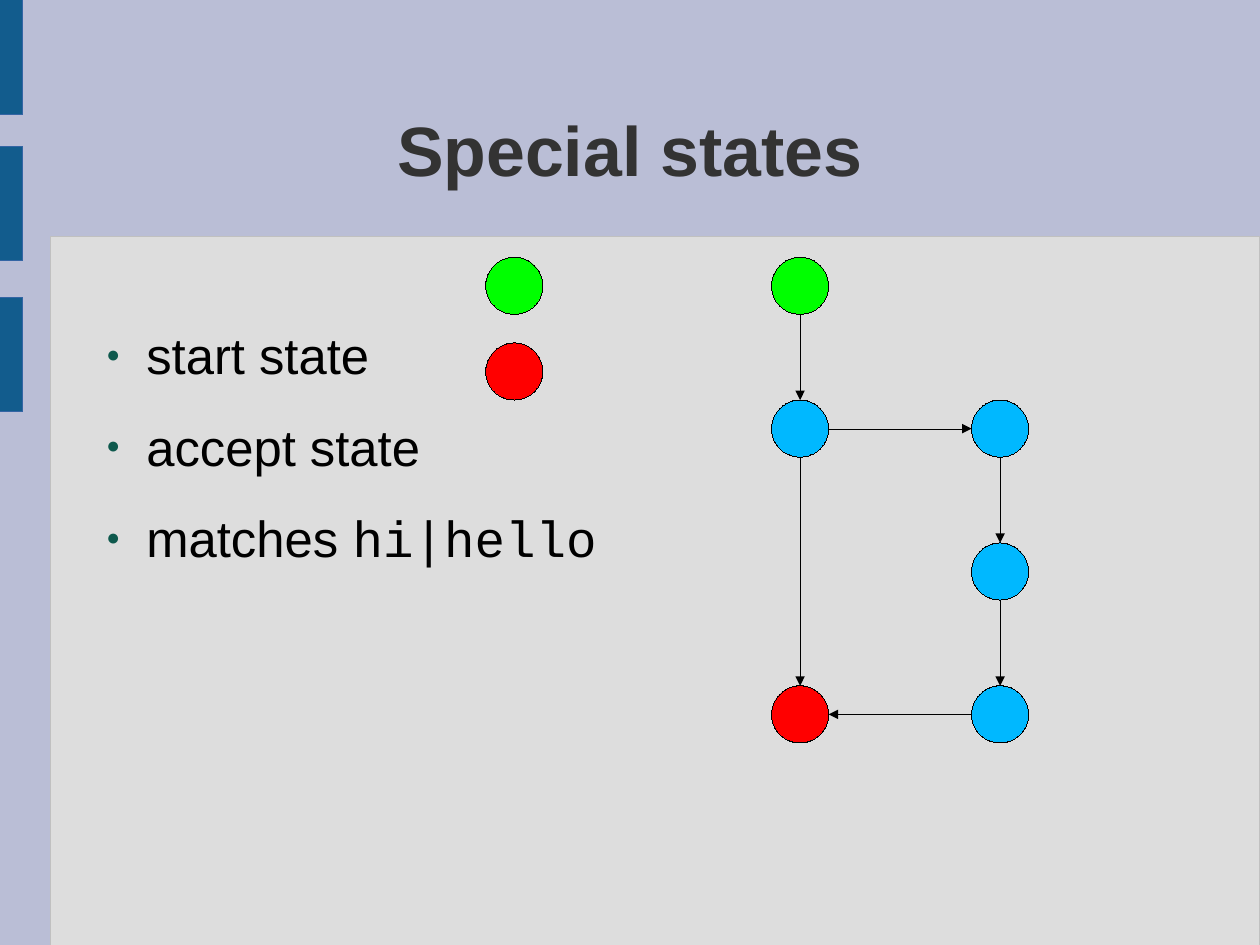
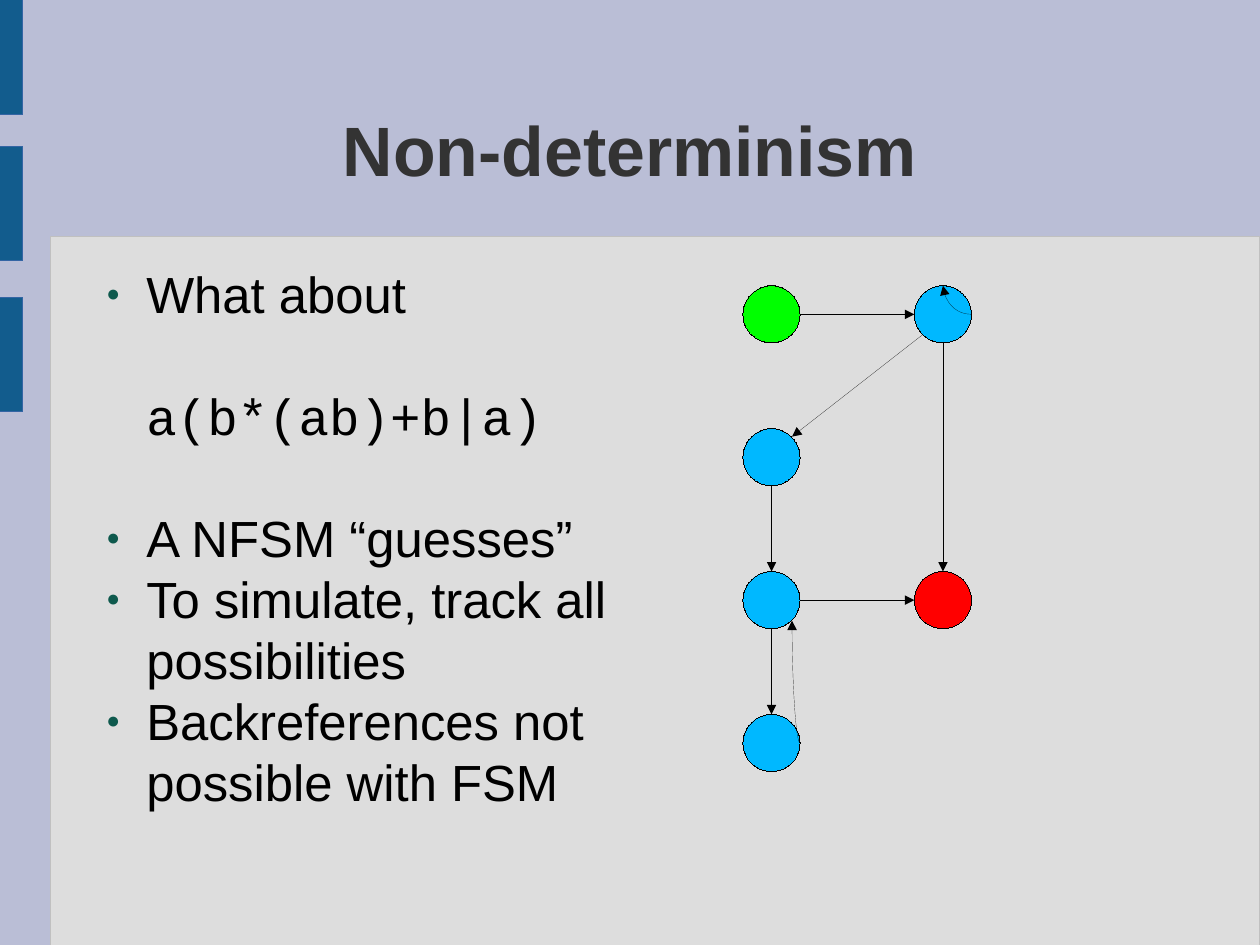
"""Build two slides on finite state machines: special states and non-determinism."""
from lxml.etree import SubElement
from pptx import Presentation
from pptx.dml.color import RGBColor
from pptx.enum.shapes import MSO_CONNECTOR, MSO_SHAPE
from pptx.enum.text import MSO_ANCHOR, PP_ALIGN
from pptx.oxml.ns import qn
from pptx.util import Cm, Pt

PX = 9144
COLOURS = {
    "background": "BABED6", "panel": "DDDDDD", "panel edge": "C0C0C0",
    "bar": "125C8D", "bar edge": "3465A4", "title": "333333",
    "bullet": "0E594D", "ink": "000000",
    "start": "00FF00", "state": "00B8FF", "accept": "FF0000",
}
RADIUS = 25
DIAGONAL = 18
LINE_PITCH = 38.4
INDENT, HANGING = 47, 35
BODY, CODE = "Arial", "Courier New"

SLIDES = [
    {
        "title": "Special states",
        "points": [
            (True, 2, 0, [("start state", BODY)]),
            (True, 1.5, 0, [("accept state", BODY)]),
            (True, 1.5, 0, [("matches ", BODY), ("hi|hello", CODE)]),
        ],
        "states": {
            "start": (700, 250, "start"),
            "h": (700, 375, "state"),
            "he": (875, 375, "state"),
            "hel": (875, 500, "state"),
            "hell": (875, 625, "state"),
            "accept": (700, 625, "accept"),
            "start key": (450, 250, "start"),
            "accept key": (450, 325, "accept"),
        },
        "moves": [("start", "h"), ("h", "accept"), ("h", "he"),
                  ("he", "hel"), ("hel", "hell"), ("hell", "accept")],
        "loops": [],
    },
    {
        "title": "Non-determinism",
        "points": [
            (True, 1, 0, [("What about", BODY)]),
            (False, 1, 1, [("a(b*(ab)+b|a)", CODE)]),
            (True, 1, 1, [("A NFSM “guesses”", BODY)]),
            (True, 1, 0, [("To simulate, track all possibilities", BODY)]),
            (True, 1, 0, [("Backreferences not possible with FSM", BODY)]),
        ],
        "states": {
            "start": (675, 275, "start"),
            "repeat b": (825, 275, "state"),
            "a": (675, 400, "state"),
            "ab": (675, 525, "state"),
            "repeat ab": (675, 650, "state"),
            "accept": (825, 525, "accept"),
        },
        "moves": [("start", "repeat b"), ("repeat b", "a"), ("a", "ab"),
                  ("ab", "repeat ab"), ("ab", "accept"), ("repeat b", "accept")],
        "loops": [(850, 275, 825, 250), (700, 650, 693, 543)],
    },
]


def add_filled(slide, preset, box, fill, edge):
    part = slide.shapes.add_shape(preset, *(n * PX for n in box))
    part.shadow.inherit = False
    part.fill.solid()
    part.fill.fore_color.rgb = RGBColor.from_string(COLOURS[fill])
    part.line.color.rgb = RGBColor.from_string(COLOURS[edge])
    part._element.spPr.find(qn("a:ln")).set("w", "0")


def add_arrow(slide, ends, curved=False):
    kind = MSO_CONNECTOR.CURVE if curved else MSO_CONNECTOR.STRAIGHT
    arrow = slide.shapes.add_connector(kind, *(n * PX for n in ends))
    arrow.line.color.rgb = RGBColor.from_string(COLOURS["ink"])
    properties = arrow._element.spPr
    if curved:
        properties.find(qn("a:prstGeom")).set("prst", "curvedConnector2")
    stroke = properties.find(qn("a:ln"))
    stroke.set("w", "0")
    SubElement(stroke, qn("a:tailEnd"), type="triangle")
    SubElement(properties, qn("a:effectLst"))


prs = Presentation()
prs.slide_width, prs.slide_height = Cm(28), Cm(21)
backdrop = prs.slide_master.background.fill
backdrop.solid()
backdrop.fore_color.rgb = RGBColor.from_string(COLOURS["background"])

for content in SLIDES:
    slide = prs.slides.add_slide(prs.slide_layouts[5])

    add_filled(slide, MSO_SHAPE.RECTANGLE, (44, 207, 1058, 620), "panel", "panel edge")
    for top in (0, 128, 260):
        add_filled(slide, MSO_SHAPE.RECTANGLE, (0, top, 20, 100), "bar", "bar edge")

    title = slide.shapes.title
    title.left, title.top, title.width, title.height = (n * PX for n in (81, 61, 941, 138))
    points = slide.shapes.add_textbox(*(n * PX for n in (81, 230, 459, 521)))
    for frame in (title.text_frame, points.text_frame):
        frame.margin_left = frame.margin_right = frame.margin_top = frame.margin_bottom = 0
        frame.word_wrap = True

    title.text_frame.vertical_anchor = MSO_ANCHOR.MIDDLE
    heading = title.text_frame.paragraphs[0]
    heading.alignment = PP_ALIGN.CENTER
    run = heading.add_run()
    run.text = content["title"]
    run.font.name, run.font.size, run.font.bold = BODY, Pt(44), True
    run.font.color.rgb = RGBColor.from_string(COLOURS["title"])

    for index, (bulleted, spacing, gap, runs) in enumerate(content["points"]):
        frame = points.text_frame
        point = frame.add_paragraph() if index else frame.paragraphs[0]
        layout = point._p.get_or_add_pPr()
        layout.set("marL", str(INDENT * PX))
        layout.set("indent", str(-HANGING * PX if bulleted else 0))
        if bulleted:
            tint = SubElement(layout, qn("a:buClr"))
            SubElement(tint, qn("a:srgbClr"), val=COLOURS["bullet"])
            SubElement(layout, qn("a:buSzPct"), val="45000")
            SubElement(layout, qn("a:buFont"), typeface=BODY)
            SubElement(layout, qn("a:buChar"), char="●")
        else:
            SubElement(layout, qn("a:buNone"))
        point.line_spacing = Pt(LINE_PITCH * spacing)
        if gap:
            point.space_before = Pt(LINE_PITCH * gap)
        for words, face in runs:
            run = point.add_run()
            run.text = words
            run.font.name, run.font.size = face, Pt(32)
            run.font.color.rgb = RGBColor.from_string(COLOURS["ink"])

    states = content["states"]
    for x, y, role in states.values():
        add_filled(slide, MSO_SHAPE.OVAL,
                   (x - RADIUS, y - RADIUS, 2 * RADIUS, 2 * RADIUS), role, "ink")
    for source, target in content["moves"]:
        x1, y1, _ = states[source]
        x2, y2, _ = states[target]
        across = (x2 > x1) - (x2 < x1)
        down = (y2 > y1) - (y2 < y1)
        reach = DIAGONAL if across and down else RADIUS
        add_arrow(slide, (x1 + across * reach, y1 + down * reach,
                          x2 - across * reach, y2 - down * reach))
    for ends in content["loops"]:
        add_arrow(slide, ends, curved=True)

prs.save("out.pptx")
